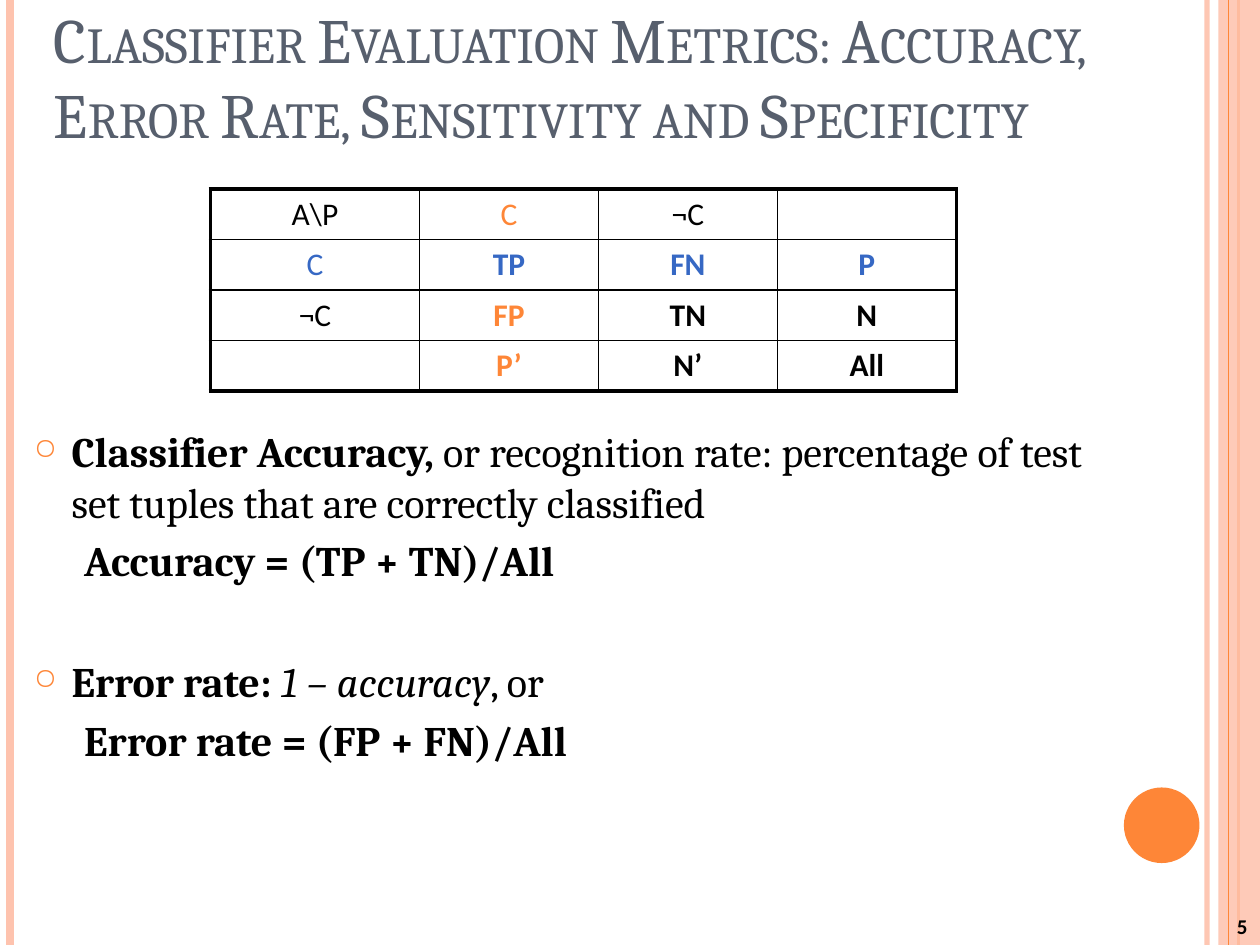
from lxml import etree
from pptx import Presentation, util as u
from pptx.dml.color import RGBColor
from pptx.enum import shapes, text
from pptx.oxml.ns import qn

PX = 9144  # 100 px to the inch
COLORS = {"orange": "FE8637", "peach": "FEC3AE", "slate": "575F6D",
          "blue": "3668C4", "black": "000000"}

TITLE = "Classifier Evaluation Metrics: Accuracy, Error Rate, Sensitivity and Specificity"
PAGE_NUMBER = "5"

# x, colour, width in points, opacity in percent
RULES = [(958, "peach", 3, 93), (8, "peach", 4.5, 100), (983, "orange", 1.5, 100)]
FRONT_RULE = (975, "orange", 0.75, 100)

# text, colour, bold
MATRIX = [
    [(r"A\P", "black", False), ("C", "orange", False), ("¬C", "black", False), None],
    [("C", "blue", False), ("TP", "blue", True), ("FN", "blue", True), ("P", "blue", True)],
    [("¬C", "black", False), ("FP", "orange", True), ("TN", "black", True), ("N", "black", True)],
    [None, ("P’", "orange", True), ("N’", "black", True), ("All", "black", True)],
]
COLUMN_WIDTHS = [166, 142, 142, 142]
ROW_HEIGHT = 40

# bulleted, space before in points, runs of (text, style)
DEFINITIONS = [
    (True, 0, [("Classifier Accuracy, ", "b"),
               ("or recognition rate: percentage of test set tuples that are correctly classified", "")]),
    (False, 4.8, [("Accuracy = (TP + TN)/All", "b")]),
    (True, 40, [("Error rate: ", "b"), ("1 – accuracy", "i"), (", or", "")]),
    (False, 4.8, [("Error rate = (FP + FN)/All", "b")]),
]


def px(*lengths):
    return [u.Emu(length * PX) for length in lengths]


def rgb(name):
    return RGBColor.from_string(COLORS[name])


def add_child(parent, tag, **attributes):
    return etree.SubElement(parent, qn(tag), {k: str(v) for k, v in attributes.items()})


def set_opacity(properties, percent):
    color = next(properties.iter(qn("a:srgbClr")))
    add_child(color, "a:alpha", val=percent * 1000)


def style(font, face, size, color, bold=False, italic=False):
    font.name, font.size, font.bold, font.italic = face, u.Pt(size), bold, italic
    font.color.rgb = rgb(color)


def add_rule(slide, x, color, width, opacity):
    rule = slide.shapes.add_connector(shapes.MSO_CONNECTOR.STRAIGHT, *px(x, 0, x, 750))
    rule.line.color.rgb = rgb(color)
    rule.line.width = u.Pt(width)
    properties = rule._element.spPr
    if opacity < 100:
        set_opacity(properties, opacity)
    add_child(properties, "a:effectLst")


def add_plain_shape(slide, preset, box, color):
    shape = slide.shapes.add_shape(preset, *px(*box))
    shape.shadow.inherit = False
    shape.fill.solid()
    shape.fill.fore_color.rgb = rgb(color)
    shape.line.fill.background()
    return shape


def add_text_box(slide, box, anchor):
    frame = slide.shapes.add_textbox(*px(*box)).text_frame
    frame.word_wrap = True
    frame.vertical_anchor = anchor
    return frame


def add_decoration(slide):
    for rule in RULES:
        add_rule(slide, *rule)
    band = add_plain_shape(slide, shapes.MSO_SHAPE.RECTANGLE, (967, 0, 33, 750), "peach")
    set_opacity(band._element.spPr, 87)
    add_rule(slide, *FRONT_RULE)
    add_plain_shape(slide, shapes.MSO_SHAPE.OVAL, (892, 625, 60, 60), "orange")


def add_title(slide):
    frame = add_text_box(slide, (33, 0, 919, 125), text.MSO_ANCHOR.BOTTOM)
    frame.text = TITLE
    run = frame.paragraphs[0].runs[0]
    style(run.font, "Cambria", 36, "slate")
    run._r.get_or_add_rPr().set("cap", "small")


def add_definitions(slide):
    frame = add_text_box(slide, (17, 333, 875, 383), text.MSO_ANCHOR.TOP)
    for index, (bulleted, space, runs) in enumerate(DEFINITIONS):
        paragraph = frame.paragraphs[0] if index == 0 else frame.add_paragraph()
        paragraph.space_before = u.Pt(space)
        properties = paragraph._p.get_or_add_pPr()
        properties.set("marL", str((30 if bulleted else 70) * PX))
        properties.set("indent", str(-30 * PX))
        if bulleted:
            bullet_color = add_child(properties, "a:buClr")
            add_child(bullet_color, "a:srgbClr", val=COLORS["orange"])
            add_child(properties, "a:buSzPct", val=70000)
            add_child(properties, "a:buChar", char="○")
        else:
            add_child(properties, "a:buNone")
        for words, emphasis in runs:
            run = paragraph.add_run()
            run.text = words
            style(run.font, "Cambria", 24, "black", emphasis == "b", emphasis == "i")


def set_borders(cell, row, column):
    """Thick lines round the table, thin ones inside."""
    last_row, last_column = len(MATRIX) - 1, len(COLUMN_WIDTHS) - 1
    outer = {"L": column == 0, "R": column == last_column,
             "T": row == 0, "B": row == last_row}
    properties = cell._tc.get_or_add_tcPr()
    for position, (side, is_outer) in enumerate(outer.items()):
        line = add_child(properties, f"a:ln{side}", w=u.Pt(2.25 if is_outer else 1))
        add_child(add_child(line, "a:solidFill"), "a:srgbClr", val=COLORS["black"])
        properties.insert(position, line)


def add_matrix(slide):
    size = sum(COLUMN_WIDTHS), ROW_HEIGHT * len(MATRIX)
    table = slide.shapes.add_table(len(MATRIX), len(COLUMN_WIDTHS), *px(167, 150, *size)).table
    table.first_row = table.horz_banding = False
    for column, width in zip(table.columns, px(*COLUMN_WIDTHS)):
        column.width = width
    for r, entries in enumerate(MATRIX):
        table.rows[r].height = u.Emu(ROW_HEIGHT * PX)
        for c, entry in enumerate(entries):
            cell = table.cell(r, c)
            cell.fill.background()
            set_borders(cell, r, c)
            if entry:
                label, color, bold = entry
                cell.text_frame.text = label
                paragraph = cell.text_frame.paragraphs[0]
                paragraph.alignment = text.PP_ALIGN.CENTER
                style(paragraph.runs[0].font, "Calibri", 18, color, bold)


def add_page_number(slide):
    frame = add_text_box(slide, (792, 708, 208, 42), text.MSO_ANCHOR.BOTTOM)
    frame.text = PAGE_NUMBER
    paragraph = frame.paragraphs[0]
    paragraph.alignment = text.PP_ALIGN.RIGHT
    style(paragraph.runs[0].font, "Calibri", 12, "black", True)


def main():
    deck = Presentation()
    deck.slide_width, deck.slide_height = px(1000, 750)
    slide = deck.slides.add_slide(deck.slide_layouts[6])
    for add_part in (add_decoration, add_title, add_definitions, add_matrix, add_page_number):
        add_part(slide)
    deck.save("out.pptx")


if __name__ == "__main__":
    main()
